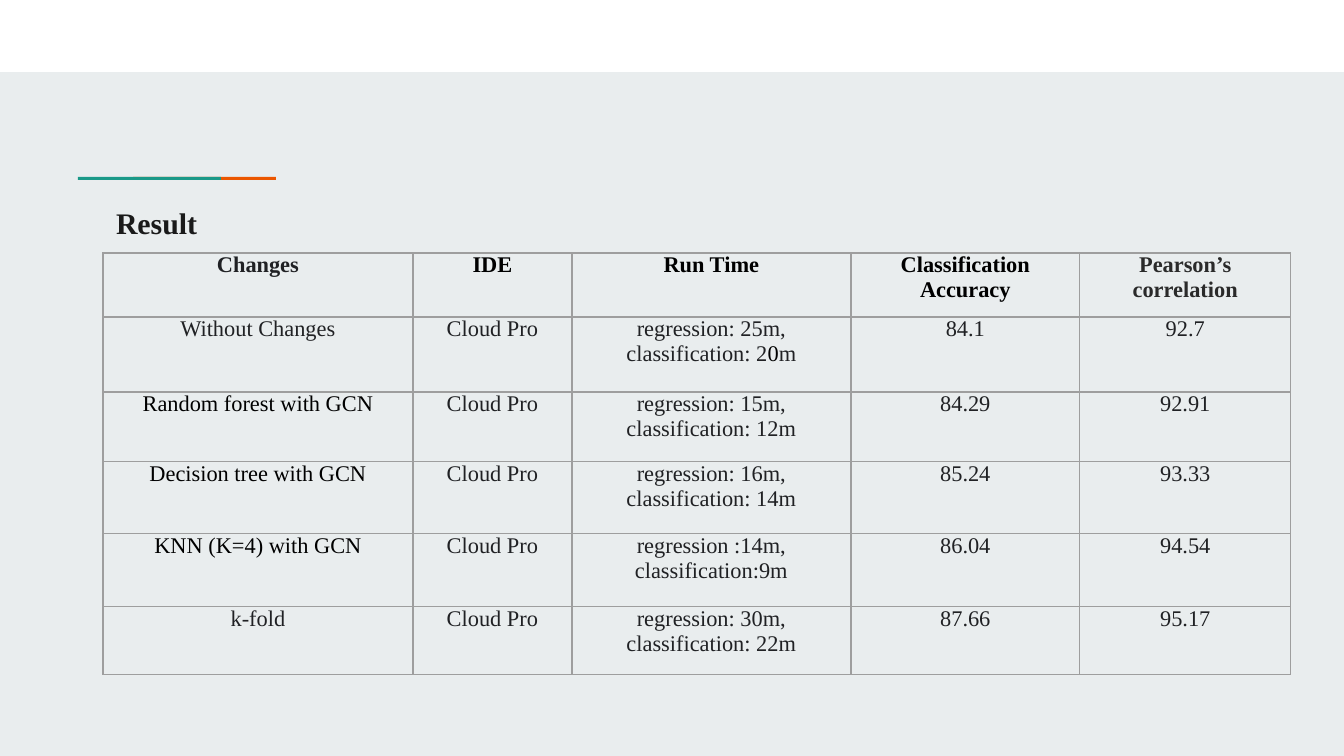
"""Build a slide with a table of model results."""
from dataclasses import dataclass

from lxml.etree import SubElement as Sub
from pptx import Presentation
from pptx.dml.color import RGBColor as Rgb
from pptx.enum.shapes import MSO_SHAPE as Form
from pptx.enum.text import PP_ALIGN as Align
from pptx.oxml.ns import qn
from pptx.util import Emu, Pt


@dataclass(frozen=True)
class Theme:
    back: str = "E9EDEE"
    white: str = "FFFFFF"
    teal: str = "1A9988"
    orange: str = "EB5600"
    title: str = "1A1A1A"
    ink: str = "202124"
    black: str = "000000"
    soft: str = "2A2A2A"
    grid: str = "9E9E9E"
    font: str = "Times New Roman"
    big: int = 16
    small: int = 12
    line: float = 0.75


T = Theme()
WIDE, HIGH = 1344, 756
SCALE = 9144000 / WIDE
IDE = "Cloud Pro"

BARS = [
    (0, 0, WIDE, 72, T.white),
    (133, 177, 143, 3, T.orange),
    (78, 177, 143, 3, T.teal),
]
TITLE = "Result"
SPOT = (103, 192, 1196, 60)
PAD = 13

ROWS = [
    ["Changes", [("IDE", T.black)], [("Run Time", T.black)],
     [("Classification Accuracy", T.black)],
     [("Pearson’s correlation", T.soft)]],
    ["Without Changes", IDE,
     [("regression: 25m, classification: 2", T.ink), ("0", T.black),
      ("m", T.ink)], "84.1", "92.7"],
    [[("Random forest with GCN", T.black)], IDE,
     "regression: 15m, classification: 12m", "84.29", "92.91"],
    [[("Decision tree with GCN", T.black)], IDE,
     "regression: 16m, classification: 14m", "85.24", "93.33"],
    [[("KNN (K=4) with GCN", T.black)], IDE,
     "regression :14m, classification:9m", "86.04", "94.54"],
    ["k-fold", IDE,
     "regression: 30m, classification: 22m", "87.66", "95.17"],
]
LEFT, TOP = 103, 253
COLS = [310, 159, 279, 229, 211]
TALL = [64, 75, 70, 72, 73, 68]
INSET = 9


def px(*sizes):
    return [Emu(round(size * SCALE)) for size in sizes]


def write(para, text, size, tone, bold):
    run = para.add_run()
    run.text = text
    font = run.font
    font.name, font.size, font.bold = T.font, Pt(size), bold
    font.color.rgb = Rgb.from_string(tone)


def bar(slide, *box, tone):
    shape = slide.shapes.add_shape(Form.RECTANGLE, *px(*box))
    shape.shadow.inherit = False
    shape.fill.solid()
    shape.fill.fore_color.rgb = Rgb.from_string(tone)
    shape.line.fill.background()


def edge(cell):
    props = cell._tc.get_or_add_tcPr()
    for spot, side in enumerate(("lnL", "lnR", "lnT", "lnB")):
        line = Sub(props, qn(f"a:{side}"), w=str(Pt(T.line)))
        Sub(Sub(line, qn("a:solidFill")), qn("a:srgbClr"), val=T.grid)
        props.insert(spot, line)


def fill(cell, runs, bold):
    cell.fill.background()
    edge(cell)
    cell.margin_left, cell.margin_right = px(INSET, INSET)
    cell.margin_top = cell.margin_bottom = 0
    para = cell.text_frame.paragraphs[0]
    para.alignment = Align.CENTER
    if isinstance(runs, str):
        runs = [(runs, T.ink)]
    for text, tone in runs:
        write(para, text, T.small, tone, bold)


def grid(slide):
    box = px(LEFT, TOP, sum(COLS), sum(TALL))
    table = slide.shapes.add_table(len(ROWS), len(COLS), *box).table
    table.first_row = table.horz_banding = False
    for col, size in zip(table.columns, px(*COLS)):
        col.width = size
    for row, size in zip(table.rows, px(*TALL)):
        row.height = size
    for r, row in enumerate(ROWS):
        for c, runs in enumerate(row):
            fill(table.cell(r, c), runs, r == 0)


def main():
    deck = Presentation()
    deck.slide_width, deck.slide_height = px(WIDE, HIGH)
    slide = deck.slides.add_slide(deck.slide_layouts[6])
    slide.background.fill.solid()
    slide.background.fill.fore_color.rgb = Rgb.from_string(T.back)
    for *box, tone in BARS:
        bar(slide, *box, tone=tone)
    frame = slide.shapes.add_textbox(*px(*SPOT)).text_frame
    frame.word_wrap = True
    frame.margin_left, frame.margin_top = px(PAD, PAD)
    write(frame.paragraphs[0], TITLE, T.big, T.title, True)
    grid(slide)
    deck.save("out.pptx")


if __name__ == "__main__":
    main()
